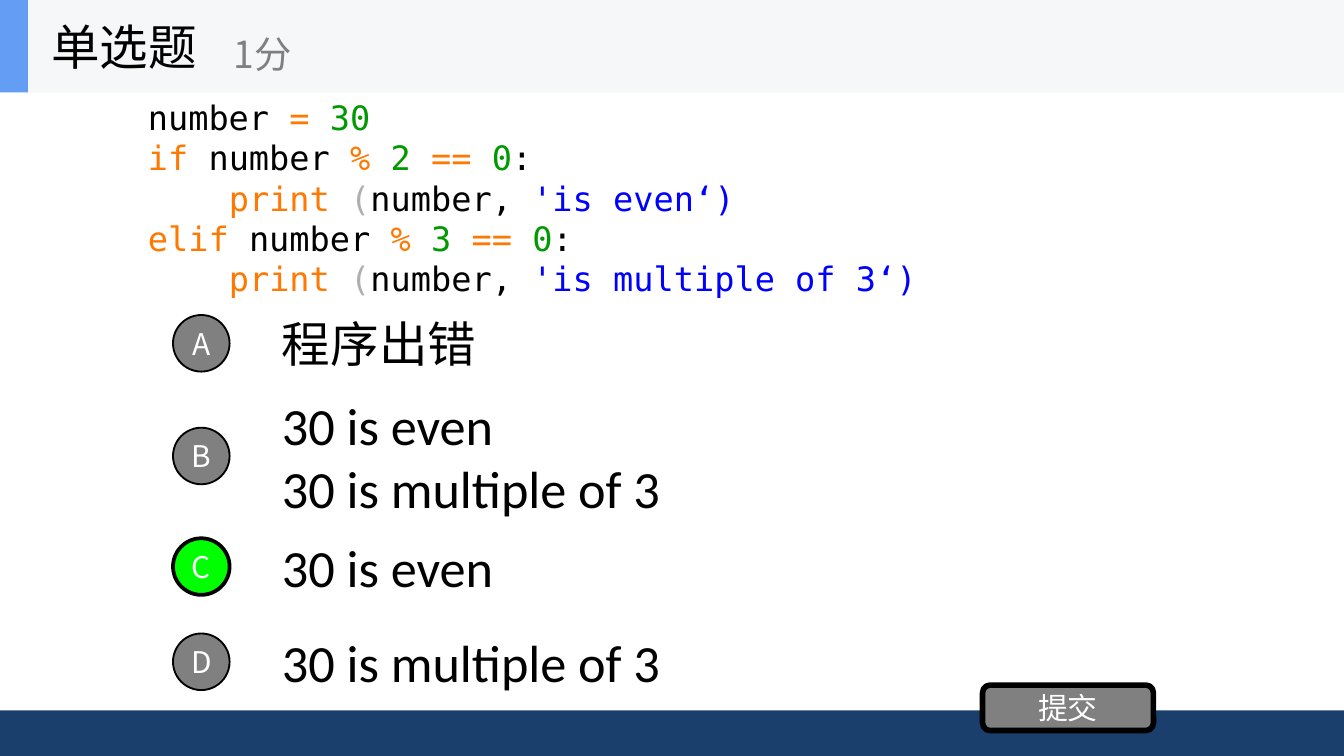
from dataclasses import dataclass

from lxml.etree import SubElement
from pptx import Presentation
from pptx.dml.color import RGBColor
from pptx.enum.shapes import MSO_SHAPE
from pptx.enum.text import MSO_ANCHOR, MSO_AUTO_SIZE, PP_ALIGN
from pptx.oxml.ns import qn
from pptx.util import Cm, Pt

# Content
TITLE, SCORE, SUBMIT = "单选题", "1分", "提交"
CODE = [  # indent level, then (token kind, text)
    (0, [("name", "number "), ("keyword", "= "), ("number", "30")]),
    (0, [("keyword", "if "), ("name", "number "), ("keyword", "% "),
         ("number", "2 "), ("keyword", "== "), ("number", "0"), ("name", ":")]),
    (1, [("keyword", "print"), ("bracket", " ("), ("name", "number, "),
         ("string", "'is even‘)")]),
    (0, [("keyword", "elif "), ("name", "number "), ("keyword", "% "),
         ("number", "3 "), ("keyword", "== "), ("number", "0"), ("name", ":")]),
    (1, [("keyword", "print"), ("bracket", " ("), ("name", "number, "),
         ("string", "'is multiple of 3‘)")]),
]
CORRECT = "C"
OPTIONS = [  # letter, answer, centre height in cm, font, size
    ("A", "程序出错", 6.49, "Noto Sans CJK SC", 26),
    ("B", "30 is even\n30 is multiple of 3", 8.62, "Calibri", 28),
    ("C", "30 is even", 10.71, "Calibri", 28),
    ("D", "30 is multiple of 3", 12.51, "Calibri", 28),
]


@dataclass(frozen=True)
class Theme:
    ui_font: str = "Noto Sans CJK SC"
    code_font: str = "DejaVu Sans Mono"
    black: str = "000000"
    white: str = "FFFFFF"
    gray: str = "808080"
    green: str = "00FF00"
    header: str = "F6F7F8"
    accent: str = "639EF4"
    footer: str = "1A3F6C"
    title_size: int = 26
    score_size: int = 20
    code_size: int = 18
    label_size: int = 16


THEME = Theme()
TOKEN_COLORS = {"name": THEME.black, "keyword": "FF7800", "number": "009900",
                "bracket": "AFAFAF", "string": "0000FF"}
WIDTH, HEIGHT = 25.4, 14.29
HEADER_HEIGHT, FOOTER_HEIGHT = 1.75, 0.86
CIRCLE_SIZE, ANSWER_HEIGHT = 1.07, 1.35
CODE_INDENT = 1.53  # four monospaced characters


def style(span, font, size, color):
    span.font.name = font
    span.font.size = Pt(size)
    span.font.color.rgb = RGBColor.from_string(color)
    SubElement(span.font._element, qn("a:ea"), typeface=font)


def style_text(box, font, size, color, align=PP_ALIGN.LEFT):
    frame = box.text_frame
    frame.word_wrap = True
    frame.auto_size = MSO_AUTO_SIZE.NONE
    frame.vertical_anchor = MSO_ANCHOR.MIDDLE
    for para in frame.paragraphs:
        para.alignment = align
        for span in para.runs:
            style(span, font, size, color)


def place(box, left, top, width, height):
    box.left, box.top, box.width, box.height = map(Cm, (left, top, width, height))


def add_text(slide, text, area, font, size, color):
    box = slide.shapes.add_textbox(*map(Cm, area))
    box.text_frame.text = text
    style_text(box, font, size, color)


def add_panel(slide, kind, area, fill, line_width=0, label=""):
    panel = slide.shapes.add_shape(kind, *map(Cm, area))
    panel.shadow.inherit = False
    panel.fill.solid()
    panel.fill.fore_color.rgb = RGBColor.from_string(fill)
    if line_width:
        panel.line.color.rgb = RGBColor.from_string(THEME.black)
        panel.line.width = Pt(line_width)
    else:
        panel.line.fill.background()
    if label:
        frame = panel.text_frame
        frame.text = label
        frame.margin_left = frame.margin_right = 0
        frame.margin_top = frame.margin_bottom = 0
        style_text(panel, THEME.ui_font, THEME.label_size, THEME.white,
                   PP_ALIGN.CENTER)


def fill_code(box):
    place(box, 2.54, HEADER_HEIGHT, 20.32, 4.47)
    frame = box.text_frame
    style_text(box, THEME.code_font, THEME.code_size, THEME.black)
    frame.vertical_anchor = MSO_ANCHOR.TOP
    frame.margin_top = Cm(0.08)
    for index, (level, tokens) in enumerate(CODE):
        para = frame.add_paragraph() if index else frame.paragraphs[0]
        para.space_before = Pt(0)
        properties = para._p.get_or_add_pPr()
        properties.set("marL", str(Cm(level * CODE_INDENT)))
        properties.set("indent", "0")
        SubElement(properties, qn("a:buNone"))
        for kind, text in tokens:
            span = para.add_run()
            span.text = text
            style(span, THEME.code_font, THEME.code_size, TOKEN_COLORS[kind])


def main():
    deck = Presentation()
    deck.slide_width, deck.slide_height = Cm(WIDTH), Cm(HEIGHT)
    slide = deck.slides.add_slide(deck.slide_layouts[1])
    title, question = slide.shapes.title, slide.placeholders[1]

    # Footer and header bands
    for area, color in [
        ((0, HEIGHT - FOOTER_HEIGHT, WIDTH, FOOTER_HEIGHT), THEME.footer),
        ((0, 0, WIDTH, HEADER_HEIGHT), THEME.header),
        ((0, 0, 0.53, HEADER_HEIGHT), THEME.accent),
    ]:
        add_panel(slide, MSO_SHAPE.RECTANGLE, area, color)

    # Title, raised above the header band, and score
    title.element.getparent().append(title.element)
    place(title, 0.71, 0, 5.28, HEADER_HEIGHT)
    title.text_frame.text = TITLE
    style_text(title, THEME.ui_font, THEME.title_size, THEME.black)
    add_text(slide, SCORE, (4.17, 0.3, 6.35, 1.42), THEME.ui_font,
             THEME.score_size, THEME.gray)

    # Question code
    fill_code(question)

    # Answer options, centred on their row
    for letter, answer, center, font, size in OPTIONS:
        add_text(slide, answer,
                 (5.08, center - ANSWER_HEIGHT / 2, 17.78, ANSWER_HEIGHT),
                 font, size, THEME.black)
        correct = letter == CORRECT
        add_panel(slide, MSO_SHAPE.OVAL,
                  (3.27, center - CIRCLE_SIZE / 2, CIRCLE_SIZE, CIRCLE_SIZE),
                  THEME.green if correct else THEME.gray,
                  2 if correct else 1, letter)

    # Submit button
    add_panel(slide, MSO_SHAPE.ROUNDED_RECTANGLE, (18.57, 12.95, 3.23, 0.86),
              THEME.gray, 3, SUBMIT)

    deck.save("out.pptx")


if __name__ == "__main__":
    main()
